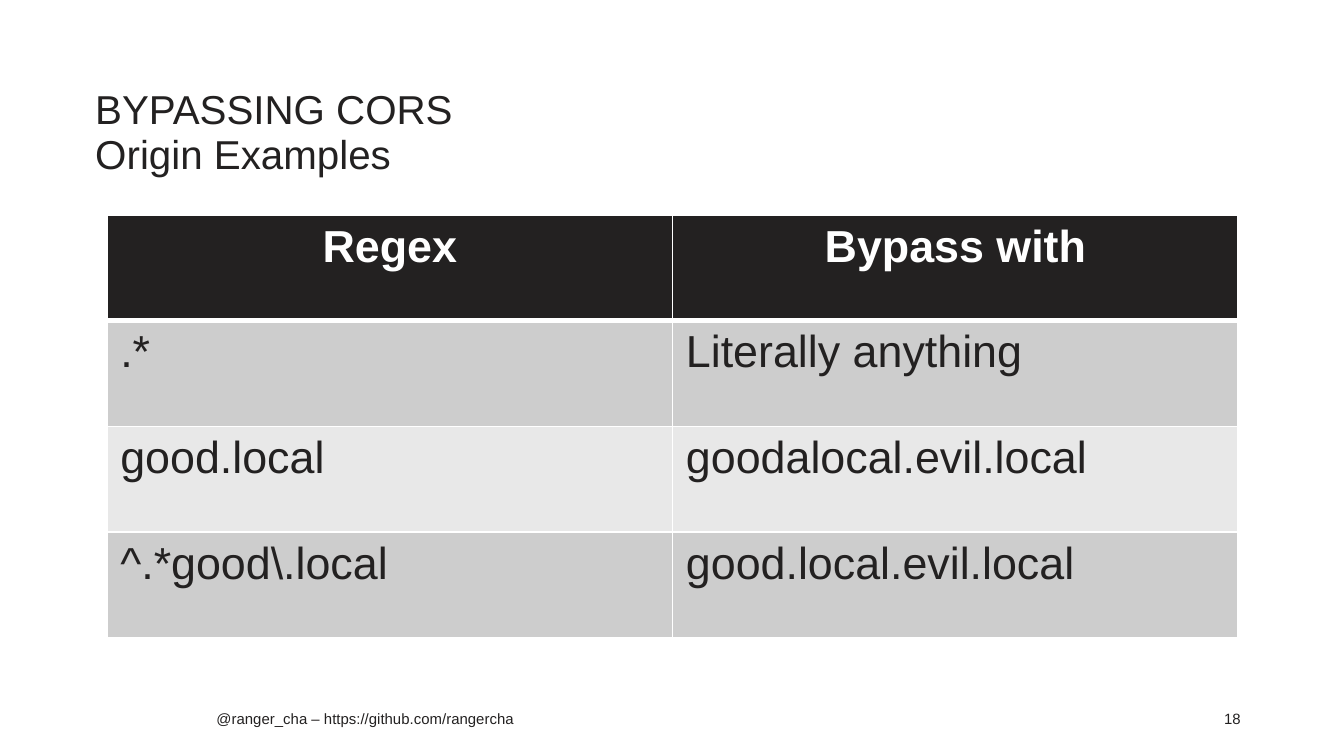
from lxml import etree
from pptx import Presentation
from pptx.dml.color import RGBColor
from pptx.enum.text import MSO_ANCHOR, MSO_AUTO_SIZE, PP_ALIGN
from pptx.oxml.ns import qn
from pptx.util import Cm, Pt

LEFT, CENTER, RIGHT = PP_ALIGN.LEFT, PP_ALIGN.CENTER, PP_ALIGN.RIGHT
TOP = MSO_ANCHOR.TOP
NO_FIT = MSO_AUTO_SIZE.NONE
TITLE_ONLY = 5

# Content
TITLE = "BYPASSING CORS\vOrigin Examples"
ROWS = [
    ("Regex", "Bypass with"),
    (".*", "Literally anything"),
    ("good.local", "goodalocal.evil.local"),
    (r"^.*good\.local", "good.local.evil.local"),
]
FOOTERS = [  # text, left, width, alignment
    ("@ranger_cha – https://github.com/rangercha", 3.84, 7.59, LEFT),
    ("18", 22.78, 0.92, RIGHT),
]

# Format
COLORS = {"ink": "232121", "paper": "FFFFFF", "odd": "CDCDCD", "even": "E8E8E8"}
TITLE_FONT = {"name": "Arial", "size": Pt(21.6), "bold": False}
HEADER_FONT = {"name": "Arial", "size": Pt(24), "bold": True}
BODY_FONT = {"name": "Arial", "size": Pt(24), "bold": False}
FOOTER_FONT = {"name": "Arial", "size": Pt(8), "bold": False}
TABLE_LEFT, TABLE_TOP, COLUMN_WIDTH, ROW_HEIGHT = 2.02, 4.06, 10.69, 2


def format_paragraph(paragraph, font, color, alignment=LEFT):
    paragraph.alignment = alignment
    for name, value in font.items():
        setattr(paragraph.font, name, value)
    paragraph.font.color.rgb = RGBColor.from_string(COLORS[color])


def set_borders(cell, widths):
    """Draw the cell's borders; they come before the fill in tcPr."""
    properties = cell._tc.get_or_add_tcPr()
    for index, (side, width) in enumerate(widths.items()):
        line = etree.Element(qn(f"a:{side}"), w=str(Pt(width)))
        fill = etree.SubElement(line, qn("a:solidFill"))
        etree.SubElement(fill, qn("a:srgbClr"), val=COLORS["paper"])
        properties.insert(index, line)


presentation = Presentation()
presentation.slide_width, presentation.slide_height = Cm(25.4), Cm(14.29)
slide = presentation.slides.add_slide(presentation.slide_layouts[TITLE_ONLY])

# Title
title = slide.shapes.title
title.left, title.top, title.width, title.height = Cm(1.8), Cm(1.65), Cm(21.9), Cm(2.08)
frame = title.text_frame
frame.text = TITLE
frame_format = {
    "margin_left": 0, "margin_top": 0, "margin_right": 0, "margin_bottom": 0,
    "vertical_anchor": TOP, "word_wrap": True, "auto_size": NO_FIT,
}
for name, value in frame_format.items():
    setattr(frame, name, value)
format_paragraph(frame.paragraphs[0], TITLE_FONT, "ink")
frame.paragraphs[0].line_spacing = 0.95

# Table of patterns and bypasses
row_count, column_count = len(ROWS), len(ROWS[0])
table = slide.shapes.add_table(
    row_count, column_count, Cm(TABLE_LEFT), Cm(TABLE_TOP),
    Cm(COLUMN_WIDTH * column_count), Cm(ROW_HEIGHT * row_count),
).table
for row_index, texts in enumerate(ROWS):
    is_header = row_index == 0
    if is_header:
        fill_color = "ink"
    else:
        fill_color = "odd" if row_index % 2 else "even"
    for column_index, text in enumerate(texts):
        cell = table.cell(row_index, column_index)
        cell.text = text
        cell.fill.solid()
        cell.fill.fore_color.rgb = RGBColor.from_string(COLORS[fill_color])
        set_borders(cell, {
            "lnL": 1, "lnR": 1,
            "lnT": 3 if row_index == 1 else 1,
            "lnB": 3 if is_header else 1,
        })
        paragraph = cell.text_frame.paragraphs[0]
        if is_header:
            format_paragraph(paragraph, HEADER_FONT, "paper", CENTER)
        else:
            format_paragraph(paragraph, BODY_FONT, "ink")

# Footer and slide number
for text, left, width, alignment in FOOTERS:
    box = slide.shapes.add_textbox(Cm(left), Cm(13.28), Cm(width), Cm(0.51))
    box.text_frame.word_wrap = True
    box.text_frame.text = text
    format_paragraph(box.text_frame.paragraphs[0], FOOTER_FONT, "ink", alignment)

presentation.save("out.pptx")
